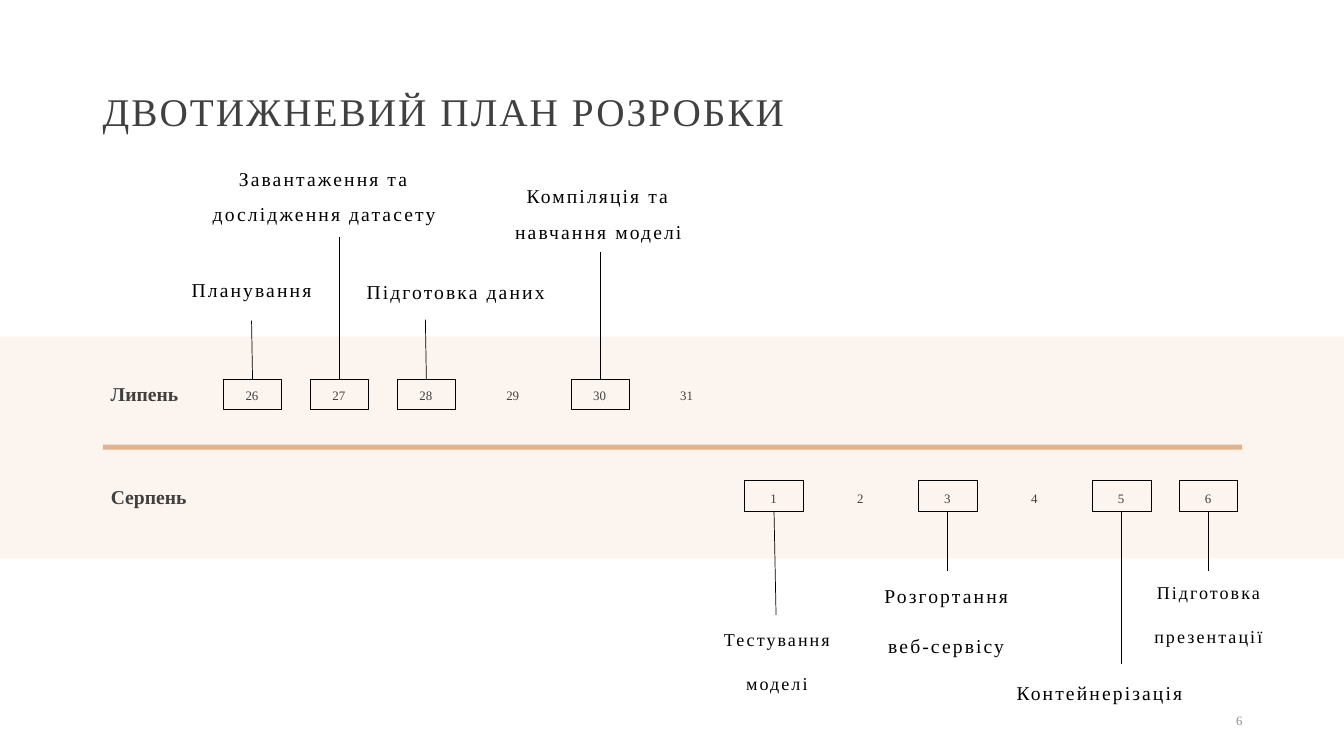
from dataclasses import dataclass
from lxml import etree
from pptx import Presentation
from pptx.dml.color import RGBColor
from pptx.enum.shapes import MSO_CONNECTOR, MSO_SHAPE
from pptx.enum.text import MSO_ANCHOR, PP_ALIGN
from pptx.oxml.ns import qn
from pptx.util import Pt

LINE, RECT = MSO_CONNECTOR.STRAIGHT, MSO_SHAPE.RECTANGLE
TOP, MID, LOW = MSO_ANCHOR.TOP, MSO_ANCHOR.MIDDLE, MSO_ANCHOR.BOTTOM
LEFT, MEAN, RIGHT = PP_ALIGN.LEFT, PP_ALIGN.CENTER, PP_ALIGN.RIGHT
PX = 9144  # 100 px to the inch


@dataclass(frozen=True)
class Theme:
    font: str = "Times New Roman"
    band: str = "FBF4EF"
    rule: str = "E2B18D"
    ink: str = "000000"
    text: str = "404040"
    pale: str = "8C8C8C"
    title: float = 28
    step: float = 14
    tight: float = 12.9
    day: float = 9.2
    page: float = 9
    hair: float = 0.5


THEME = Theme()


@dataclass(frozen=True)
class Step:
    slot: int    # day column
    lines: tuple
    box: tuple   # label: left, top, width, height
    tip: int     # y of the label end of the stem
    lean: int = 0
    size: float = THEME.step
    gap: float = 1.5


# Month rows: name, label width, top, first column, days, steps
JULY = ("Липень", 93, 367, 0, range(26, 32), [
    Step(0, ("Планування",), (137, 265, 225, 39), 318, -1),
    Step(1, ("Завантаження та дослідження датасету",),
         (169, 190, 305, 39), 235),
    Step(2, ("Підготовка даних",), (310, 245, 284, 61), 317, -1),
    Step(4, ("Компіляція та навчання моделі",), (481, 185, 225, 61), 250),
])
AUGUST = ("Серпень", 109, 469, 6, range(1, 7), [
    Step(6, ("Тестування", "моделі"), (658, 610, 225, 87), 610, 2,
         THEME.tight, 1.4),
    Step(8, ("Розгортання", "веб-сервісу"), (826, 563, 225, 61), 566),
    Step(10, ("Контейнерізація",), (905, 659, 371, 61), 659),
    Step(11, ("Підготовка", "презентації"), (1086, 563, 225, 87), 566, 0,
         THEME.tight, 1.4),
])


def px(*vals):
    return [round(v * PX) for v in vals]


def rgb(code):
    return RGBColor.from_string(code)


def write(slide, box, lines, size, color=THEME.text, align=LEFT, anchor=MID,
          gap=0.9, bold=False, track=0):
    frame = slide.shapes.add_textbox(*px(*box)).text_frame
    frame.word_wrap = True
    frame.vertical_anchor = anchor
    for i, line in enumerate(lines):
        para = frame.add_paragraph() if i else frame.paragraphs[0]
        if i:
            para.space_before = Pt(10)
        para.alignment = align
        para.line_spacing = gap
        para.font.name = THEME.font
        para.font.size = Pt(size)
        para.font.bold = bold
        para.font.color.rgb = rgb(color)
        run = para.add_run()
        run.text = line
        if track:
            run._r.get_or_add_rPr().set("spc", str(track))


def rect(slide, box, fill=None):
    shape = slide.shapes.add_shape(RECT, *px(*box))
    shape.shadow.inherit = False
    if fill:
        shape.fill.solid()
        shape.fill.fore_color.rgb = rgb(fill)
        shape.line.fill.background()
    else:
        shape.fill.background()
        shape.line.color.rgb = rgb(THEME.ink)
        shape.line.width = Pt(THEME.hair)


def stem(slide, x1, y1, x2, y2):
    line = slide.shapes.add_connector(LINE, *px(x1, y1, x2, y2))
    line.line.color.rgb = rgb(THEME.ink)
    line.line.width = Pt(THEME.hair)
    etree.SubElement(line._element.spPr, qn("a:effectLst"))


def month(slide, row, left, pitch, above):
    name, width, top, first, days, steps = row
    write(slide, (100, top, width, 50), [name], THEME.step, bold=True)

    # Days
    for slot, day in enumerate(days, first):
        write(slide, (left + slot * pitch, top + 16, 70, 22), [str(day)],
              THEME.day, align=MEAN, anchor=TOP, gap=0.8)

    # Marked days with stems and labels
    mark = top + (9 if above else 8)
    for step in steps:
        mid = left + step.slot * pitch + 35.5
        rect(slide, (mid - 29, mark, 58, 30))
        edge = mark if above else mark + 30
        stem(slide, mid + step.lean, step.tip, mid, edge)
        write(slide, step.box, step.lines, step.size, THEME.ink, MEAN,
              LOW if above else TOP, step.gap, track=150)


def plan(slide, box):
    left, top, width, height = box

    # Band and rule
    rect(slide, (left, top, width, height), THEME.band)
    rect(slide, (left + 102, top + 107, width - 203, 5), THEME.rule)

    # Months
    month(slide, JULY, left + 215, 86.2, True)
    month(slide, AUGUST, left + 215, 86.2, False)


def main():
    deck = Presentation()
    deck.slide_width, deck.slide_height = px(1333, 750)
    slide = deck.slides.add_slide(deck.slide_layouts[6])

    plan(slide, (0, 334, 1333, 220))

    # Title and page number
    write(slide, (92, 40, 1150, 145), ["ДВОТИЖНЕВИЙ ПЛАН РОЗРОБКИ"],
          THEME.title, track=150)
    write(slide, (942, 695, 300, 40), ["6"], THEME.page, THEME.pale, RIGHT,
          gap=1.0)
    deck.save("out.pptx")


if __name__ == "__main__":
    main()
